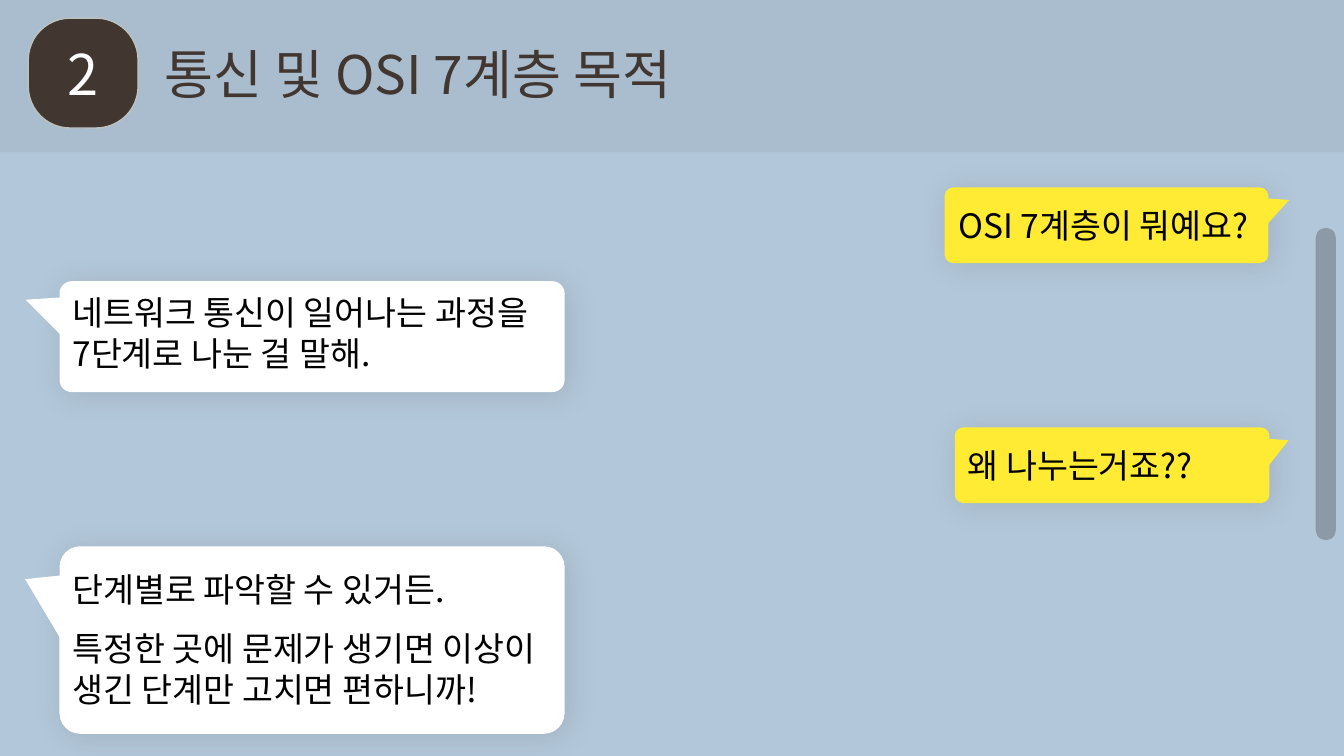
"""Builds a chat-style slide on the purpose of the OSI 7 layers."""
from dataclasses import dataclass

import lxml.etree
import pptx
import pptx.dml.color
import pptx.enum.shapes
import pptx.enum.text
import pptx.oxml
import pptx.oxml.ns
import pptx.util

PX = 9144
SHAPE = pptx.enum.shapes.MSO_SHAPE
ANCHOR = pptx.enum.text.MSO_ANCHOR
ALIGN = pptx.enum.text.PP_ALIGN
SHADOW = (
    '<a:outerShdw xmlns:a="http://schemas.openxmlformats.org/drawingml/2006/main" '
    'blurRad="279400" dist="38100" dir="2700000" algn="tl" rotWithShape="0">'
    '<a:srgbClr val="000000"><a:alpha val="10000"/></a:srgbClr></a:outerShdw>'
)


@dataclass(frozen=True)
class Theme:
    """Colours, font and type sizes of the slide."""
    font: str = "Noto Sans CJK KR"
    sky: str = "B2C7D9"
    header: str = "A9BDCE"
    scroll: str = "8B9AA6"
    question: str = "FFEB33"
    answer: str = "FFFFFF"
    brown: str = "423630"
    rim: str = "BDC2C1"
    ink: str = "000000"
    white: str = "FFFFFF"
    title_size: int = 38
    badge_size: int = 40
    chat_size: int = 24
    chat_gap: int = 14


THEME = Theme()


def rgb(colour):
    """Return a colour object for a hex string."""
    return pptx.dml.color.RGBColor.from_string(colour)


def emu(frame):
    """Turn px lengths into EMU."""
    return [length * PX for length in frame]


def add_block(shapes, kind, frame, colour, adjust=None, rotation=0):
    """Add a plain filled shape without line or shadow."""
    block = shapes.add_shape(kind, *emu(frame))
    block.shadow.inherit = False
    block.fill.solid()
    block.fill.fore_color.rgb = rgb(colour)
    block.line.fill.background()
    block.rotation = rotation
    if adjust is not None:
        block.adjustments[0] = adjust
    return block


def write(box, lines, size, colour, align=ALIGN.LEFT, anchor=ANCHOR.TOP):
    """Write lines into a shape, one paragraph each."""
    text = box.text_frame
    text.text = "\n".join(lines)
    text.word_wrap = True
    text.vertical_anchor = anchor
    for para in text.paragraphs:
        para.alignment = align
        for span in para.runs:
            span.font.name = THEME.font
            span.font.size = pptx.util.Pt(size)
            span.font.color.rgb = rgb(colour)
    for properties in box.element.iter(pptx.oxml.ns.qn("a:rPr")):
        lxml.etree.SubElement(properties, pptx.oxml.ns.qn("a:ea"), typeface=THEME.font)


def add_bubble(page, colour, body, tail, text_frame, lines, from_left=False):
    """Add a speech bubble: shadowed body, tail and text in one group."""
    shapes = page.shapes.add_group_shape().shapes
    block = add_block(shapes, SHAPE.ROUNDED_RECTANGLE, body, colour, 0.11)
    effects = block.element.spPr.find(pptx.oxml.ns.qn("a:effectLst"))
    effects.append(pptx.oxml.parse_xml(SHADOW))
    adjust, rotation = (0.94, 270) if from_left else (0.06, 90)
    add_block(shapes, SHAPE.ISOSCELES_TRIANGLE, tail, colour, adjust, rotation)
    box = shapes.add_textbox(*emu(text_frame))
    write(box, lines, THEME.chat_size, THEME.ink)
    return box


def add_header(page):
    """Add the header band, the title and the numbered badge."""
    add_block(page.shapes, SHAPE.RECTANGLE, (0, -1, 1333, 152), THEME.header)
    title = page.shapes.title
    title.left, title.top, title.width, title.height = emu((153, 36, 815, 74))
    write(title, ["통신 및 OSI 7계층 목적"], THEME.title_size, THEME.brown)
    page.shapes.element.append(title.element)
    badge = add_block(page.shapes, SHAPE.ROUNDED_RECTANGLE, (28, 18, 109, 109),
                      THEME.brown, 0.38)
    badge.line.color.rgb = rgb(THEME.rim)
    badge.line.width = pptx.util.Pt(1)
    write(badge, ["2"], THEME.badge_size, THEME.white, ALIGN.CENTER, ANCHOR.MIDDLE)


def add_chat(page):
    """Add the questions and answers."""
    add_bubble(page, THEME.question, (937, 186, 321, 75), (1250, 199, 31, 26),
               (941, 198, 324, 50), ["OSI 7계층이 뭐예요?"])
    add_bubble(page, THEME.answer, (59, 279, 501, 110), (24, 296, 46, 43),
               (62, 285, 515, 91),
               ["네트워크 통신이 일어나는 과정을", "7단계로 나눈 걸 말해."], True)
    add_bubble(page, THEME.question, (947, 424, 312, 75), (1251, 439, 31, 23),
               (950, 436, 262, 50), ["왜 나누는거죠??"])
    reason = add_bubble(page, THEME.answer, (59, 542, 501, 186), (8, 587, 77, 43),
                        (62, 559, 515, 151),
                        ["단계별로 파악할 수 있거든.", "특정한 곳에 문제가 생기면 이상이",
                         "생긴 단계만 고치면 편하니까!"], True)
    reason.text_frame.paragraphs[1].space_before = pptx.util.Pt(THEME.chat_gap)


def main():
    """Build and save the slide."""
    deck = pptx.Presentation()
    deck.slide_width, deck.slide_height = emu((1333, 750))
    page = deck.slides.add_slide(deck.slide_layouts[5])
    page.background.fill.solid()
    page.background.fill.fore_color.rgb = rgb(THEME.sky)
    add_header(page)
    add_block(page.shapes, SHAPE.ROUNDED_RECTANGLE, (1305, 226, 20, 310),
              THEME.scroll, 0.5)
    add_chat(page)
    deck.save("out.pptx")


if __name__ == "__main__":
    main()
